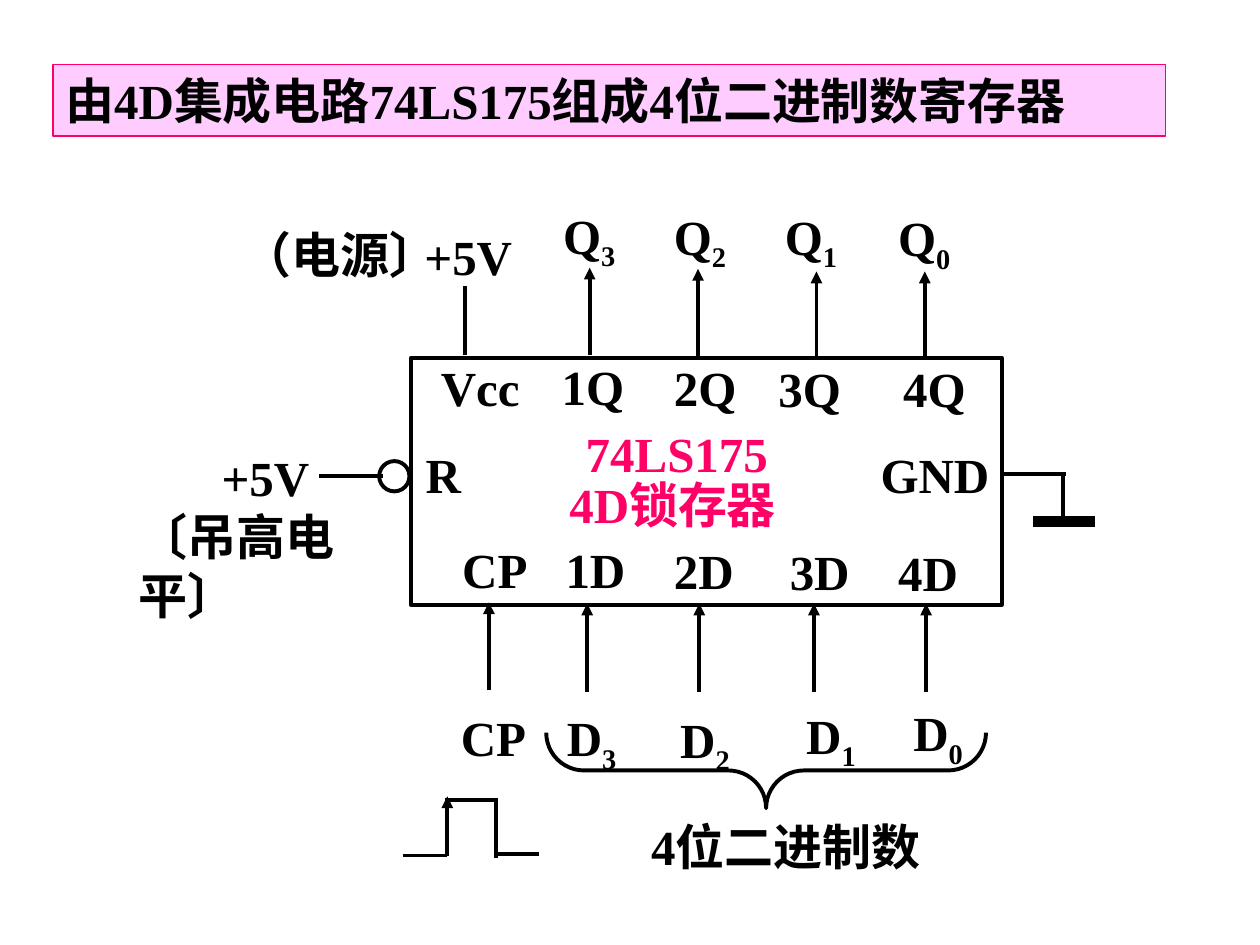
from pptx import Presentation
from pptx.dml.color import RGBColor as RGB
from pptx.enum.shapes import MSO_CONNECTOR as CONN, MSO_SHAPE as SHAPE
from pptx.enum.text import MSO_AUTO_SIZE as FIT
from pptx.oxml.ns import qn
from pptx.util import Inches, Pt
from lxml.etree import SubElement

THEME = {
    "font": {"name": "Times New Roman", "size": Pt(28), "bold": True},
    "space": Pt(17.5),
    "ink": RGB.from_string("000000"),
    "accent": RGB.from_string("FF0066"),
    "band": RGB.from_string("FFCCFF"),
    "paper": RGB.from_string("FFFFFF"),
    "hair": 0.75, "wire": 2.25, "bar": 6,
}

prs = Presentation()
prs.slide_width, prs.slide_height = Inches(10), Inches(7.5)
s = prs.slides.add_slide(prs.slide_layouts[6])
UNIT = prs.slide_width // 100  # the grid has 100 columns and 75 rows


def label(text, x, y, w, h=5.7, color="ink", sub="", sp=None):
    """Write text, with an optional subscript, in a new box or in shape sp."""
    if sp is None:
        sp = s.shapes.add_textbox(*(int(v * UNIT) for v in (x, y, w, h)))
    tf = sp.text_frame
    tf.word_wrap, tf.auto_size = True, FIT.NONE
    p = tf.paragraphs[0]
    p.alignment, p.space_before = 1, THEME["space"]
    for part, base in ((text, None), (sub, "-25000")):
        if not part:
            continue
        r = p.add_run()
        r.text = part
        for key, value in THEME["font"].items():
            setattr(r.font, key, value)
        r.font.color.rgb = THEME[color]
        if base:
            r.font._element.set("baseline", base)


def wire(x1, y1, x2, y2, arrow=False, weight="wire"):
    """Draw a straight line, with an arrowhead at its end if asked."""
    c = s.shapes.add_connector(CONN.STRAIGHT, *(int(v * UNIT) for v in (x1, y1, x2, y2)))
    c.line.color.rgb, c.line.width = THEME["ink"], Pt(THEME[weight])
    if arrow:
        SubElement(c.line._get_or_add_ln(), qn("a:tailEnd"), type="triangle")
    SubElement(c._element.spPr, qn("a:effectLst"))


# Outlines: title band, chip body, inverting circle, brace under the inputs
outlines = {}
for name, kind, box, fill, line, weight in (
    ("title", SHAPE.RECTANGLE, (4.2, 5.1, 88.3, 5.7), "band", "accent", "hair"),
    ("chip", SHAPE.RECTANGLE, (32.6, 28.4, 46.9, 19.6), "paper", "ink", "wire"),
    ("circle", SHAPE.OVAL, (30.1, 36.6, 2.4, 2.4), "paper", "ink", "wire"),
    ("brace", SHAPE.RIGHT_BRACE, (57.8, 43.7, 6, 34.9), None, "ink", "wire"),
):
    sp = outlines[name] = s.shapes.add_shape(kind, *(int(v * UNIT) for v in box))
    sp.shadow.inherit = False
    if fill:
        sp.fill.solid()
        sp.fill.fore_color.rgb = THEME[fill]
    else:
        sp.fill.background()
    sp.line.color.rgb, sp.line.width = THEME[line], Pt(THEME[weight])
outlines["brace"].rotation = 90
outlines["brace"].adjustments[0] = 0.5
label("由4D集成电路74LS175组成4位二进制数寄存器", 0, 0, 0, sp=outlines["title"])

# Output pins: arrow column and foot, signal place, pin place
for i, (ax, foot, sx, sy, px, py) in enumerate((
    (46.8, 28.2, 43.7, 15.8, 43.6, 27.8),
    (55.4, 28.3, 52.5, 15.9, 52.5, 27.9),
    (64.8, 28.5, 61.3, 15.9, 60.8, 28),
    (73.4, 28.5, 70.3, 16, 70.7, 28),
)):
    wire(ax, foot, ax, foot - 6.95, arrow=True)
    label("Q", sx, sy, 6.9, 6.3, sub=str(3 - i))
    label(f"{i + 1}Q", px, py, 7.3)

# Input pins: arrow column, signal place, pin place
for i, (ax, sx, sy, px, py) in enumerate((
    (46.6, 44, 55.7, 43.9, 42.3),
    (55.5, 53, 55.8, 52.5, 42.4),
    (64.6, 63, 55.5, 61.7, 42.5),
    (73.5, 71.5, 55.3, 70.3, 42.6),
)):
    wire(ax, 54.9, ax, 47.9, arrow=True)
    label("D", sx, sy, 6.9, 6.3, sub=str(3 - i))
    label(f"{i + 1}D", px, py, 7.3)

# Clock arrow, supply lead, reset lead, ground lead and pulse
wire(38.8, 54.8, 38.8, 47.8, arrow=True)
for ends in (
    (36.9, 28.2, 36.9, 22.7),
    (25.3, 37.8, 30.4, 37.8),
    (79.5, 37.6, 84.6, 37.6),
    (84.4, 37.5, 84.4, 41.3),
    (32, 67.9, 35.5, 67.9),
    (35.3, 63.5, 39.5, 63.5),
    (39.4, 63.5, 39.4, 68.1),
    (39.4, 67.8, 42.8, 67.8),
):
    wire(*ends)
wire(35.5, 67.9, 35.5, 63.2, arrow=True)
wire(82, 41.4, 86.9, 41.4, weight="bar")

# Remaining labels
for text, *box in (
    ("〔吊高电平〕", 10, 39.7, 23.6, 10.4),
    ("+5V", 16.6, 35, 9.8),
    ("（电源〕", 18.3, 17.3, 18),
    ("+5V", 32.7, 17.5, 9.3),
    ("Vcc", 34, 27.9, 8.5),
    ("R", 32.8, 34.8, 4.4),
    ("GND", 68.9, 34.8, 11.7),
    ("CP", 35.7, 42.3, 7.6),
    ("CP", 35.6, 55.7, 7.4),
    ("4位二进制数", 50.7, 64.3, 24.3),
    ("74LS175", 45.5, 33.1, 19.1, 5.7, "accent"),
    ("4D锁存器", 44.2, 37.2, 21.2, 5.7, "accent"),
):
    label(text, *box)

prs.save("out.pptx")
